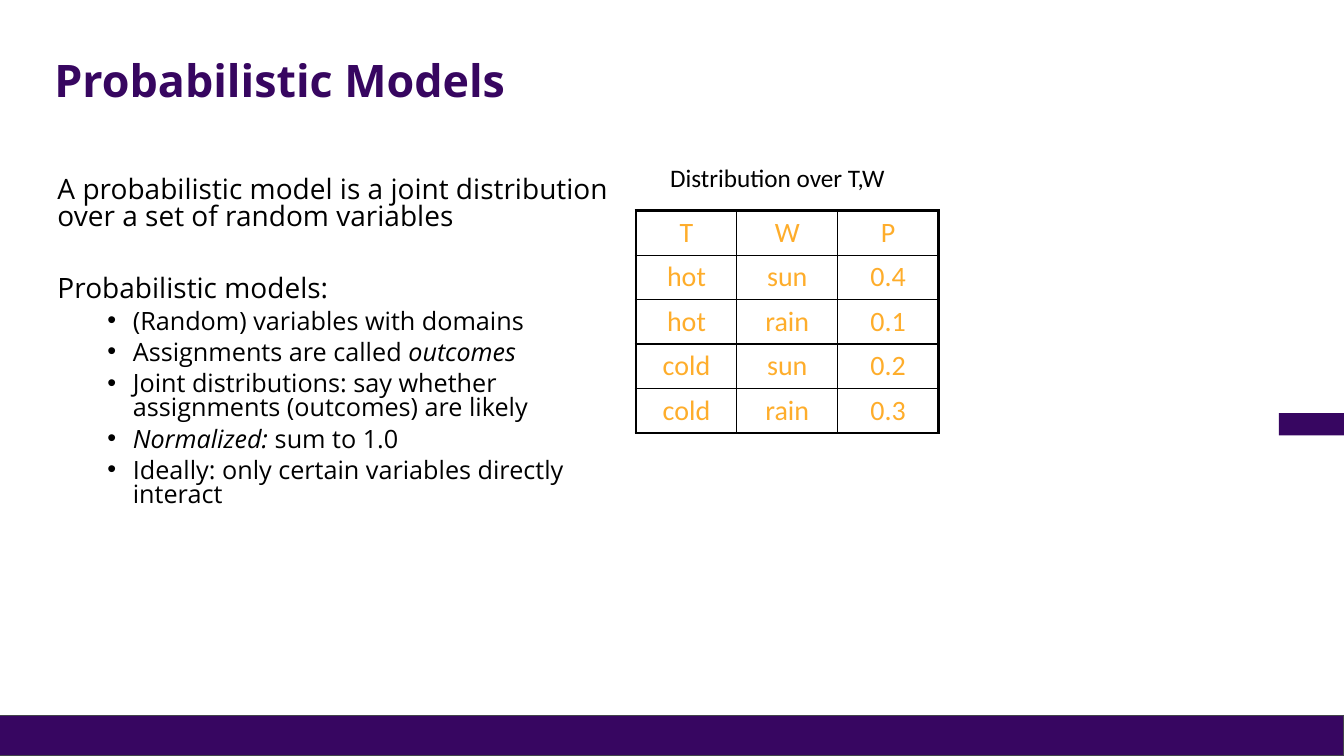
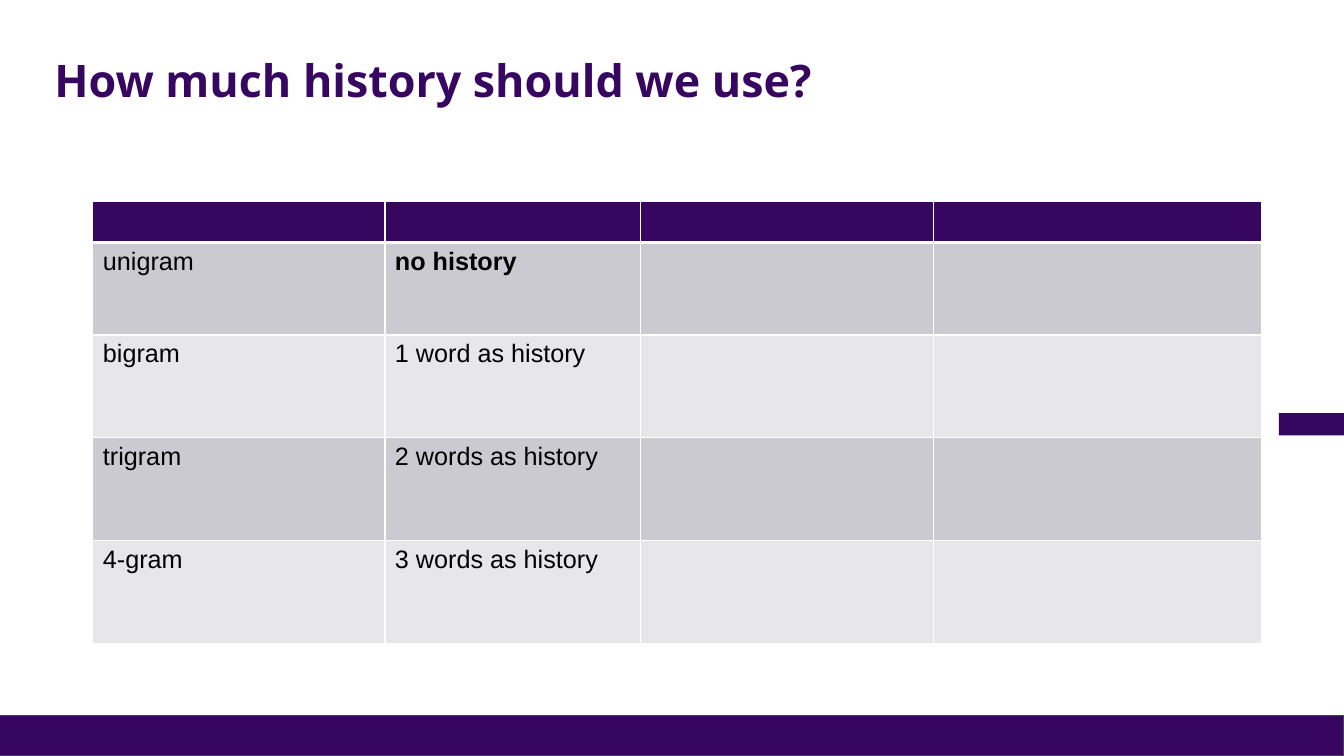
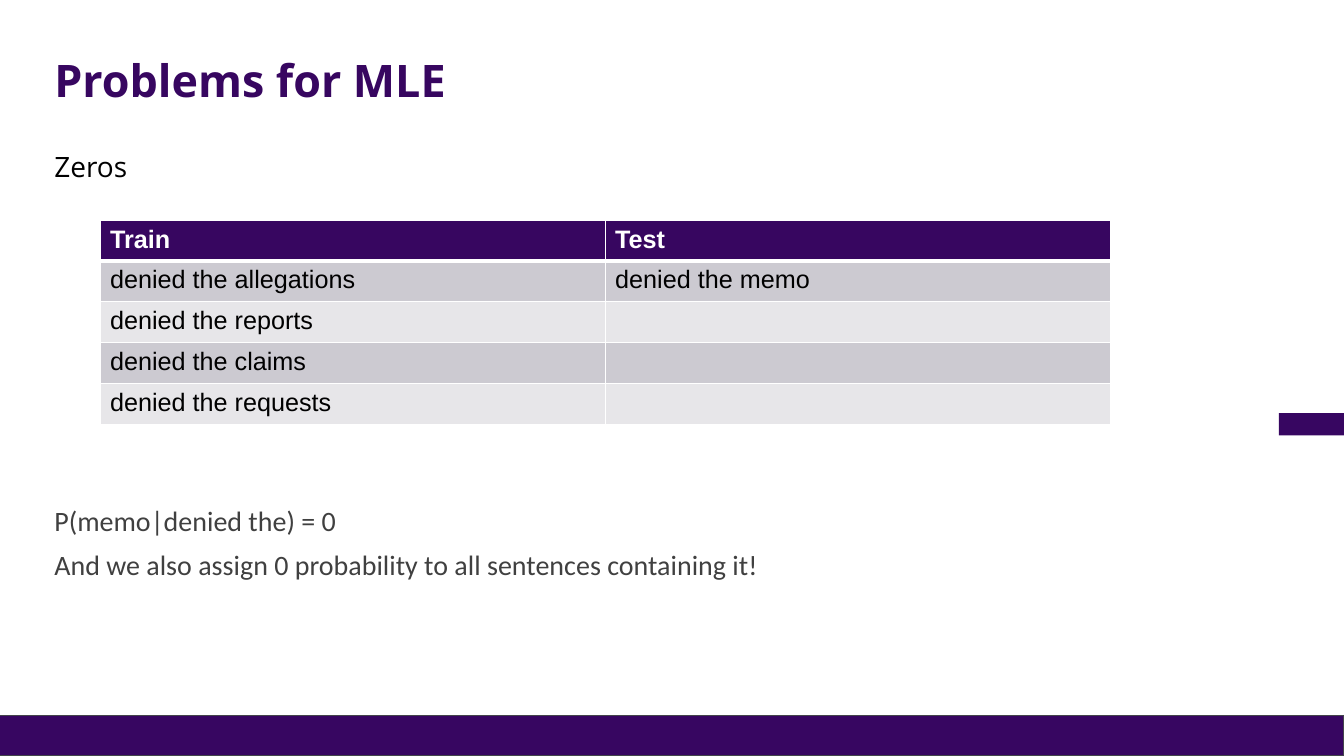
from dataclasses import dataclass

from lxml.etree import SubElement
from pptx import Presentation
from pptx.dml.color import RGBColor as RGB
from pptx.enum.shapes import MSO_SHAPE as SHAPE
from pptx.enum.text import MSO_ANCHOR as ANCHOR, PP_ALIGN as ALIGN
from pptx.oxml.ns import qn
from pptx.util import Cm, Pt


@dataclass(frozen=True)
class Style:
    font: str
    size: float
    color: RGB
    bold: bool = False
    line: float = 1
    before: float = 0
    bullet: bool = False


class Theme:
    purple = RGB.from_string("370660")
    band = RGB.from_string("370661")
    band_line = RGB.from_string("43454B")
    black = RGB.from_string("000000")
    white = RGB.from_string("FFFFFF")
    gray = RGB.from_string("404040")
    orange = RGB.from_string("FEAD2B")
    stripes = RGB.from_string("E7E6E9"), RGB.from_string("CCCAD1")

    title = Style("Open Sans", 32, purple, bold=True, line=0.9)
    lead = Style("Open Sans", 20, black, line=0.8)
    next_lead = Style("Open Sans", 20, black, line=0.8, before=32)
    bullet = Style("Open Sans", 18, black, line=0.8, before=5, bullet=True)
    topic = Style("Open Sans", 20, black, line=0.9)
    note = Style("Calibri", 20, gray, line=0.9)
    next_note = Style("Calibri", 20, gray, line=0.9, before=10)
    caption = Style("Calibri", 18, black)
    grid_cell = Style("Calibri", 20, orange)
    head_cell = Style("Arial", 18, white, bold=True)
    body_cell = Style("Arial", 18, black)


def add_text(tf, paragraphs):
    """Write (style, text) pairs; *stars* enclose italics."""
    for i, (style, text) in enumerate(paragraphs):
        p = tf.add_paragraph() if i else tf.paragraphs[0]
        p.line_spacing = style.line
        p.space_before = Pt(style.before)
        if style.bullet:
            pPr = p._p.get_or_add_pPr()
            pPr.set("marL", str(Cm(1.9)))
            pPr.set("indent", str(-Cm(0.64)))
            SubElement(pPr, qn("a:buFont"), typeface="Arial")
            SubElement(pPr, qn("a:buChar"), char="•")
        for j, part in enumerate(text.split("*")):
            if part:
                r = p.add_run()
                r.text = part
                r.font.name = style.font
                r.font.size = Pt(style.size)
                r.font.color.rgb = style.color
                r.font.bold = style.bold
                r.font.italic = j % 2 == 1


def add_grid(s, left, top, widths, heights, rows, striped=True):
    """Add a striped table with a header, or a plain one with a heavy frame."""
    table = s.shapes.add_table(len(heights), len(widths), Cm(left), Cm(top),
                               Cm(sum(widths)), Cm(sum(heights))).table
    table.first_row = table.horz_banding = False
    for column, width in zip(table.columns, widths):
        column.width = Cm(width)
    last_row, last_col = len(heights) - 1, len(widths) - 1
    for y, height in enumerate(heights):
        table.rows[y].height = Cm(height)
        for x in range(len(widths)):
            cell = table.cell(y, x)
            if striped:
                heavy = {"lnT": y == 1, "lnB": y == 0}
                color, thick = Theme.white, 3
                style = Theme.body_cell if y else Theme.head_cell
            else:
                heavy = {"lnL": x == 0, "lnR": x == last_col,
                         "lnT": y == 0, "lnB": y == last_row}
                color, thick = Theme.black, 2.25
                style = Theme.grid_cell
            tcPr = cell._tc.get_or_add_tcPr()
            for side in ("lnL", "lnR", "lnT", "lnB"):
                width = Pt(thick if heavy.get(side) else 1)
                ln = SubElement(tcPr, qn("a:" + side), w=str(width))
                SubElement(SubElement(ln, qn("a:solidFill")),
                           qn("a:srgbClr"), val=str(color))
            if striped:
                cell.fill.solid()
                cell.fill.fore_color.rgb = Theme.stripes[y % 2] if y else Theme.purple
            else:
                cell.fill.background()
            if x < len(rows[y]):
                add_text(cell.text_frame, [(style, rows[y][x])])
            if not striped:
                cell.text_frame.paragraphs[0].alignment = ALIGN.CENTER
    return table


prs = Presentation()
prs.slide_width, prs.slide_height = Cm(33.87), Cm(19.05)

# Shared band, side tab and title
slides = []
for title in ("Probabilistic Models", "How much history should we use?",
              "Problems for MLE"):
    s = prs.slides.add_slide(prs.slide_layouts[6])
    for box, outlined in (((0, 18.02, 33.87, 1.03), True),
                          ((32.23, 10.41, 1.64, 0.56), False)):
        sp = s.shapes.add_shape(SHAPE.RECTANGLE, *map(Cm, box))
        sp.shadow.inherit = False
        sp.fill.solid()
        sp.fill.fore_color.rgb = Theme.band
        if outlined:
            sp.line.color.rgb = Theme.band_line
            sp.line.width = Pt(0.75)
        else:
            sp.line.fill.background()
    tf = s.shapes.add_textbox(Cm(1.12), Cm(1.02), Cm(30.43), Cm(2.13)).text_frame
    tf.word_wrap = True
    tf.vertical_anchor = ANCHOR.MIDDLE
    add_text(tf, [(Theme.title, title)])
    slides.append(s)
models, history, problems = slides

# Body text
for s, box, paragraphs in (
    (models, (1.2, 4.37, 14.66, 13.34), [
        (Theme.lead, "A probabilistic model is a joint distribution "
                     "over a set of random variables"),
        (Theme.next_lead, "Probabilistic models:"),
        (Theme.bullet, "(Random) variables with domains"),
        (Theme.bullet, "Assignments are called *outcomes*"),
        (Theme.bullet, "Joint distributions: say whether assignments "
                       "(outcomes) are likely"),
        (Theme.bullet, "*Normalized:* sum to 1.0"),
        (Theme.bullet, "Ideally: only certain variables directly interact"),
    ]),
    (models, (16.64, 3.96, 6.68, 1.02), [(Theme.caption, "Distribution over T,W")]),
    (problems, (1.12, 3.73, 29.21, 1.2), [(Theme.topic, "Zeros")]),
    (problems, (1.12, 12.66, 29.21, 2.6), [
        (Theme.note, "P(memo|denied the) = 0"),
        (Theme.next_note, "And we also assign 0 probability to all sentences "
                          "containing it!"),
    ]),
):
    tf = s.shapes.add_textbox(*map(Cm, box)).text_frame
    tf.word_wrap = True
    add_text(tf, paragraphs)

# Tables
add_grid(models, 16.03, 5.31, [2.54] * 3, [1.12] * 5, [
    ("T", "W", "P"),
    ("hot", "sun", "0.4"),
    ("hot", "rain", "0.1"),
    ("cold", "sun", "0.2"),
    ("cold", "rain", "0.3"),
], striped=False)

ngrams = add_grid(history, 2.34, 5.08, [7.36, 6.45, 7.37, 8.28],
                  [1.03, 2.33] + [2.59] * 3, [
    (),
    ("unigram", "no history"),
    ("bigram", "1 word as history"),
    ("trigram", "2 words as history"),
    ("4-gram", "3 words as history"),
])
ngrams.cell(1, 1).text_frame.paragraphs[0].runs[0].font.bold = True

add_grid(problems, 2.52, 5.56, [12.73] * 2, [0.93] + [1.03] * 4, [
    ("Train", "Test"),
    ("denied the allegations", "denied the memo"),
    ("denied the reports",),
    ("denied the claims",),
    ("denied the requests",),
])

prs.save("out.pptx")
